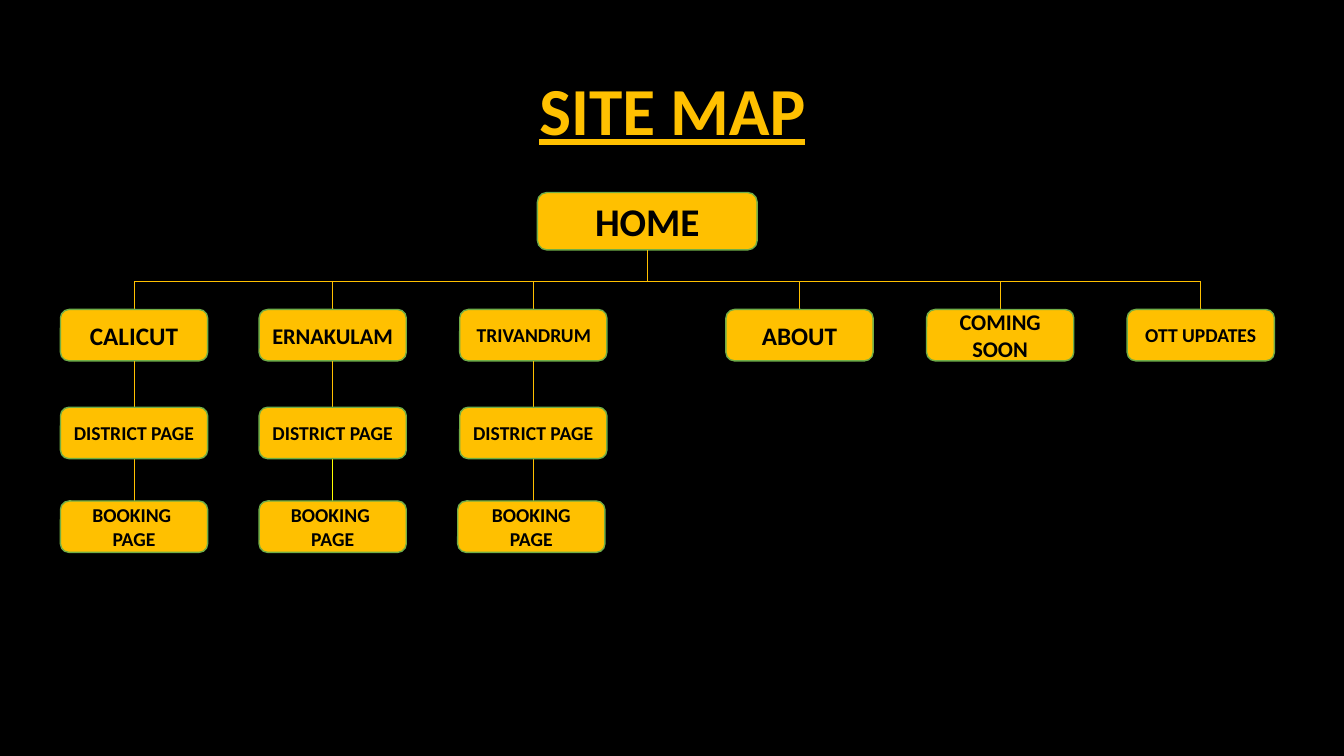
from lxml.etree import SubElement
from pptx import Presentation
from pptx.dml.color import RGBColor
from pptx.enum.shapes import MSO_CONNECTOR, MSO_SHAPE
from pptx.enum.text import MSO_ANCHOR, PP_ALIGN
from pptx.oxml.ns import qn
from pptx.util import Pt

PX = 9144  # 100 px to the inch
BLACK = RGBColor(0x00, 0x00, 0x00)
AMBER = RGBColor(0xFF, 0xC0, 0x00)
YELLOW = RGBColor(0xFF, 0xFF, 0x00)
GREEN = RGBColor(0x70, 0xAD, 0x47)

BOX_WIDTH, BOX_HEIGHT = 146, 51
RAIL_TOP, MENU_TOP, DISTRICT_TOP, BOOKING_TOP = 279, 307, 404, 497
HOME = (533, 191, 218, 57)

# Menu entries: left edge, label, text size, alignment
MENU = [
    (60, "CALICUT", 18, PP_ALIGN.CENTER),
    (257, "ERNAKULAM", 16, PP_ALIGN.CENTER),
    (456, " TRIVANDRUM", 14, PP_ALIGN.JUSTIFY),
    (720, "ABOUT", 18, PP_ALIGN.CENTER),
    (919, "COMING SOON", 16, PP_ALIGN.CENTER),
    (1118, "OTT UPDATES", 14, PP_ALIGN.CENTER),
]
# City branches: left edge of booking box, its lines, colour of its link
BRANCHES = [
    (60, ["BOOKING ", "PAGE"], AMBER),
    (257, ["BOOKING ", "PAGE"], YELLOW),
    (454, ["BOOKING PAGE"], AMBER),
]


def write_text(frame, lines, align, **font_format):
    """Fill a text frame with one formatted paragraph per line."""
    frame.vertical_anchor = MSO_ANCHOR.MIDDLE
    frame.word_wrap = True
    color = font_format.pop("color")
    for index, line in enumerate(lines):
        para = frame.add_paragraph() if index else frame.paragraphs[0]
        para.alignment = align
        span = para.add_run()
        span.text = line
        span.font.color.rgb = color
        values = {"name": "Calibri", "bold": True, **font_format}
        for name, value in values.items():
            setattr(span.font, name, value)


def add_title(page, text):
    title = page.shapes.title
    place = {"left": 92, "top": 40, "width": 1150, "height": 145}
    for name, value in place.items():
        setattr(title, name, value * PX)
    write_text(title.text_frame, [text], PP_ALIGN.CENTER,
               color=AMBER, size=Pt(48), underline=True)
    title.text_frame.paragraphs[0].line_spacing = 0.9


def add_box(page, area, lines, size, align=PP_ALIGN.CENTER):
    box = page.shapes.add_shape(MSO_SHAPE.ROUNDED_RECTANGLE,
                                *(value * PX for value in area))
    box.shadow.inherit = False
    box.fill.solid()
    box.fill.fore_color.rgb = AMBER
    box.line.color.rgb = GREEN
    box.line.width = Pt(1)
    write_text(box.text_frame, lines, align, color=BLACK, size=Pt(size))


def add_line(page, x1, y1, x2, y2, color=AMBER):
    line = page.shapes.add_connector(
        MSO_CONNECTOR.STRAIGHT, *(value * PX for value in (x1, y1, x2, y2)))
    line.line.color.rgb = color
    line.line.width = Pt(0.5)
    SubElement(line._element.spPr, qn("a:effectLst"))


def center_of(left):
    return left + BOX_WIDTH // 2


def add_menu(page):
    """Home box, the rail below it and the row of menu entries."""
    left, top, width, height = HOME
    add_box(page, HOME, ["HOME"], 28)
    home_center = left + width // 2
    add_line(page, home_center, top + height, home_center, RAIL_TOP)
    add_line(page, center_of(MENU[0][0]), RAIL_TOP,
             center_of(MENU[-1][0]), RAIL_TOP)
    for left, label, size, align in MENU:
        center = center_of(left)
        add_line(page, center, RAIL_TOP, center, MENU_TOP)
        add_box(page, (left, MENU_TOP, BOX_WIDTH, BOX_HEIGHT),
                [label], size, align)


def add_branch(page, left, booking_left, booking_lines, link_color):
    """District and booking pages below one city."""
    center = center_of(left)
    add_line(page, center, MENU_TOP + BOX_HEIGHT, center, DISTRICT_TOP)
    add_line(page, center, DISTRICT_TOP + BOX_HEIGHT, center, BOOKING_TOP,
             link_color)
    add_box(page, (left, DISTRICT_TOP, BOX_WIDTH, BOX_HEIGHT),
            ["DISTRICT PAGE"], 14)
    add_box(page, (booking_left, BOOKING_TOP, BOX_WIDTH, BOX_HEIGHT),
            booking_lines, 14)


def main():
    deck = Presentation()
    deck.slide_width, deck.slide_height = 1333 * PX, 750 * PX
    page = deck.slides.add_slide(deck.slide_layouts[5])
    page.background.fill.solid()
    page.background.fill.fore_color.rgb = BLACK

    add_title(page, "SITE MAP")
    add_menu(page)
    for (left, *_), branch in zip(MENU, BRANCHES):
        add_branch(page, left, *branch)

    deck.save("out.pptx")


if __name__ == "__main__":
    main()
